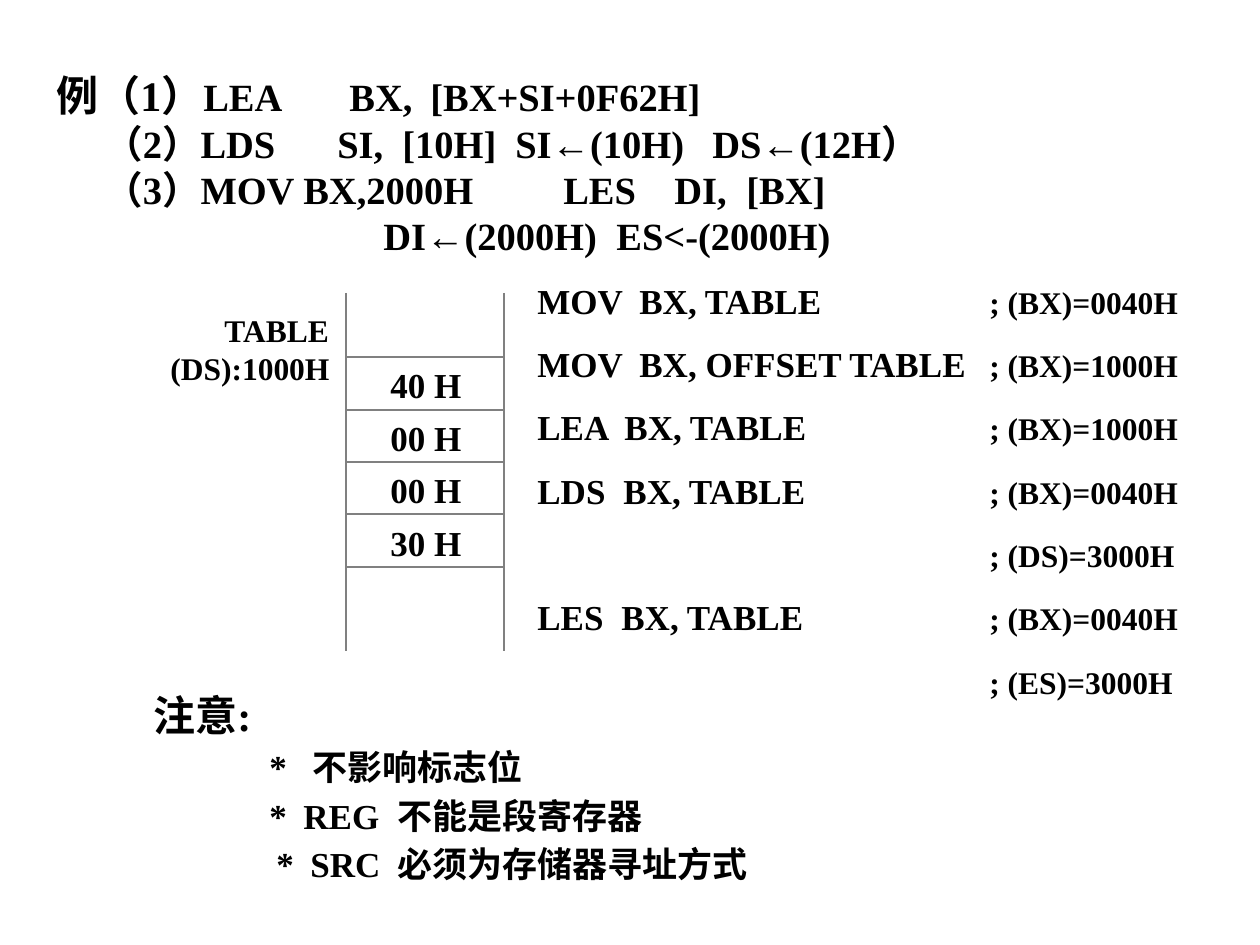
from dataclasses import dataclass

from lxml.etree import SubElement
from pptx import Presentation
from pptx.dml.color import RGBColor
from pptx.enum.shapes import MSO_CONNECTOR
from pptx.oxml.ns import qn
from pptx.slide import Slide
from pptx.text.text import _Paragraph as Paragraph
from pptx.util import Pt

PX_PER_INCH = 126


@dataclass(frozen=True)
class Theme:
    font: str = "Times New Roman"
    arrow_font: str = "Arial"
    ink: RGBColor = RGBColor(0, 0, 0)
    rule: RGBColor = RGBColor(0x80, 0x80, 0x80)
    heading: int = 24
    example: int = 22
    code: int = 20
    comment: int = 18
    rule_width: int = 1


@dataclass(frozen=True)
class Run:
    text: str
    size: int


@dataclass(frozen=True)
class Line:
    """One paragraph; tabs are px from the left edge of the text."""
    runs: tuple[Run, ...]
    tabs: tuple[int, ...] = ()
    spacing: float = 1.0
    before: float = 0


@dataclass(frozen=True)
class TextBlock:
    left: int
    top: int
    width: int
    height: int
    lines: tuple[Line, ...]


THEME = Theme()


def emu(px: int) -> int:
    return round(px * 914400 / PX_PER_INCH)


def add_tab_stops(paragraph: Paragraph, tabs: tuple[int, ...]) -> None:
    tab_list = SubElement(paragraph._p.get_or_add_pPr(), qn("a:tabLst"))
    for position in tabs:
        SubElement(tab_list, qn("a:tab"), pos=str(emu(position)), algn="l")


def add_run(paragraph: Paragraph, run: Run, base_size: int) -> None:
    """Add the text, giving each arrow its own font."""
    for index, piece in enumerate(run.text.split("←")):
        if index:
            arrow = paragraph.add_run()
            arrow.text = "←"
            arrow.font.name = THEME.arrow_font
        text_run = paragraph.add_run()
        text_run.text = piece
        if run.size != base_size:
            text_run.font.size = Pt(run.size)


def add_text(slide: Slide, block: TextBlock) -> None:
    shape = slide.shapes.add_textbox(
        emu(block.left), emu(block.top), emu(block.width), emu(block.height))
    frame = shape.text_frame
    frame.word_wrap = True
    for index, line in enumerate(block.lines):
        paragraph = frame.add_paragraph() if index else frame.paragraphs[0]
        if line.tabs:
            add_tab_stops(paragraph, line.tabs)
        paragraph.line_spacing = line.spacing
        if index:
            paragraph.space_before = Pt(line.before)
        font = paragraph.font
        font.name, font.bold = THEME.font, True
        font.size = Pt(line.runs[0].size)
        font.color.rgb = THEME.ink
        for run in line.runs:
            add_run(paragraph, run, line.runs[0].size)


def add_rule(slide: Slide, x1: int, y1: int, x2: int, y2: int) -> None:
    rule = slide.shapes.add_connector(
        MSO_CONNECTOR.STRAIGHT, emu(x1), emu(y1), emu(x2), emu(y2))
    rule.line.color.rgb = THEME.rule
    rule.line.width = Pt(THEME.rule_width)
    SubElement(rule._element.spPr, qn("a:effectLst"))


def add_memory_grid(slide: Slide) -> None:
    left, right, top, bottom = 346, 504, 293, 651
    first_row, row_height, row_count = 357, 105 / 2, 4
    for x in (left, right):
        add_rule(slide, x, top, x, bottom)
    for row in range(row_count + 1):
        y = round(first_row + row * row_height)
        add_rule(slide, left, y, right, y)


def example(text: str, *tabs: int) -> Line:
    return Line((Run(text, THEME.example),), tabs)


def instruction(code: str, comment: str, *tabs: int) -> Line:
    runs = (Run(f"{code}\t", THEME.code), Run(comment, THEME.comment))
    return Line(runs, (*tabs, 452), before=12.2)


def note(text: str, *tabs: int) -> Line:
    return Line((Run(text, THEME.code),), tabs, spacing=1.15)


EXAMPLES = TextBlock(44, 63, 1201, 202, (
    Line((Run("例（1）", THEME.heading),
          Run("LEA\tBX,\t[BX+SI+0F62H]", THEME.example)), (293, 374)),
    example("\t（2）LDS\tSI,\t[10H]\tSI←(10H)\tDS←(12H）", 48, 281, 346, 459, 656),
    example("\t（3）MOV BX,2000H\tLES\tDI,\t[BX]", 48, 507, 618, 690),
    example("\tDI←(2000H)\tES<-(2000H)", 327, 560),
))
MEMORY = TextBlock(378, 347, 105, 223, tuple(
    Line((Run(value, THEME.code),), spacing=1.25)
    for value in ("40 H", "00 H", "00 H", "30 H")))
ADDRESS = TextBlock(158, 305, 210, 88, (
    Line((Run("\tTABLE", THEME.comment),), (54,)),
    Line((Run("(DS):1000H", THEME.comment),)),
))
INSTRUCTIONS = TextBlock(525, 273, 673, 425, (
    instruction("MOV\tBX, TABLE", "; (BX)=0040H", 102),
    instruction("MOV\tBX, OFFSET TABLE", "; (BX)=1000H", 102),
    instruction("LEA\tBX, TABLE", "; (BX)=1000H", 87),
    instruction("LDS\tBX, TABLE", "; (BX)=0040H", 86),
    instruction("", "; (DS)=3000H"),
    instruction("LES\tBX, TABLE", "; (BX)=0040H", 84),
    instruction("", "; (ES)=3000H"),
))
NOTES = TextBlock(141, 683, 640, 218, (
    Line((Run("注意:", THEME.heading),)),
    note("\t*\t不影响标志位", 116, 159),
    note("\t*\tREG\t不能是段寄存器", 116, 150, 244),
    note("\t*\tSRC\t必须为存储器寻址方式", 123, 157, 244),
))


def main() -> None:
    presentation = Presentation()
    presentation.slide_width = emu(1260)
    presentation.slide_height = emu(945)
    slide = presentation.slides.add_slide(presentation.slide_layouts[6])
    add_memory_grid(slide)
    for block in (EXAMPLES, MEMORY, ADDRESS, INSTRUCTIONS, NOTES):
        add_text(slide, block)
    presentation.save("out.pptx")


if __name__ == "__main__":
    main()
